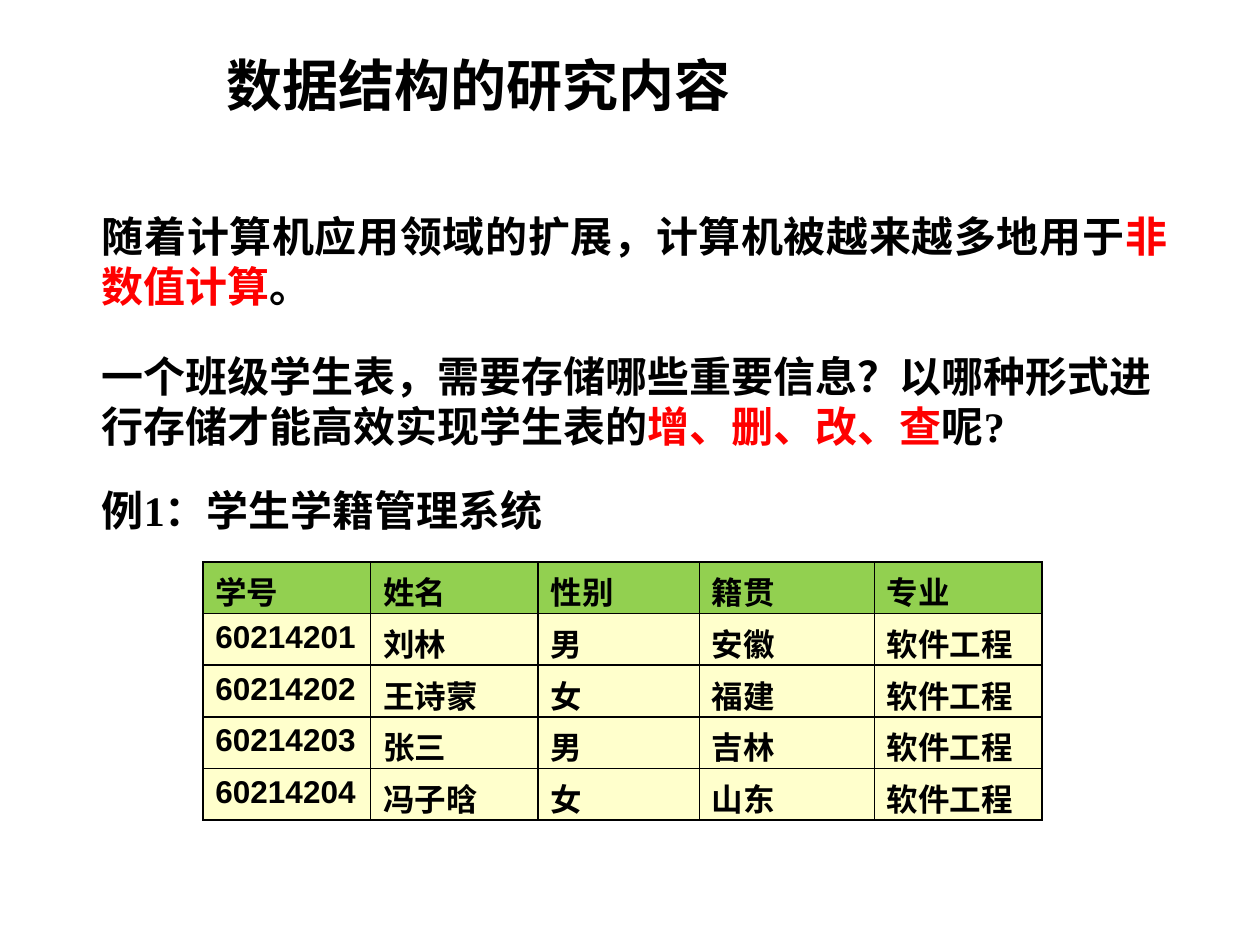
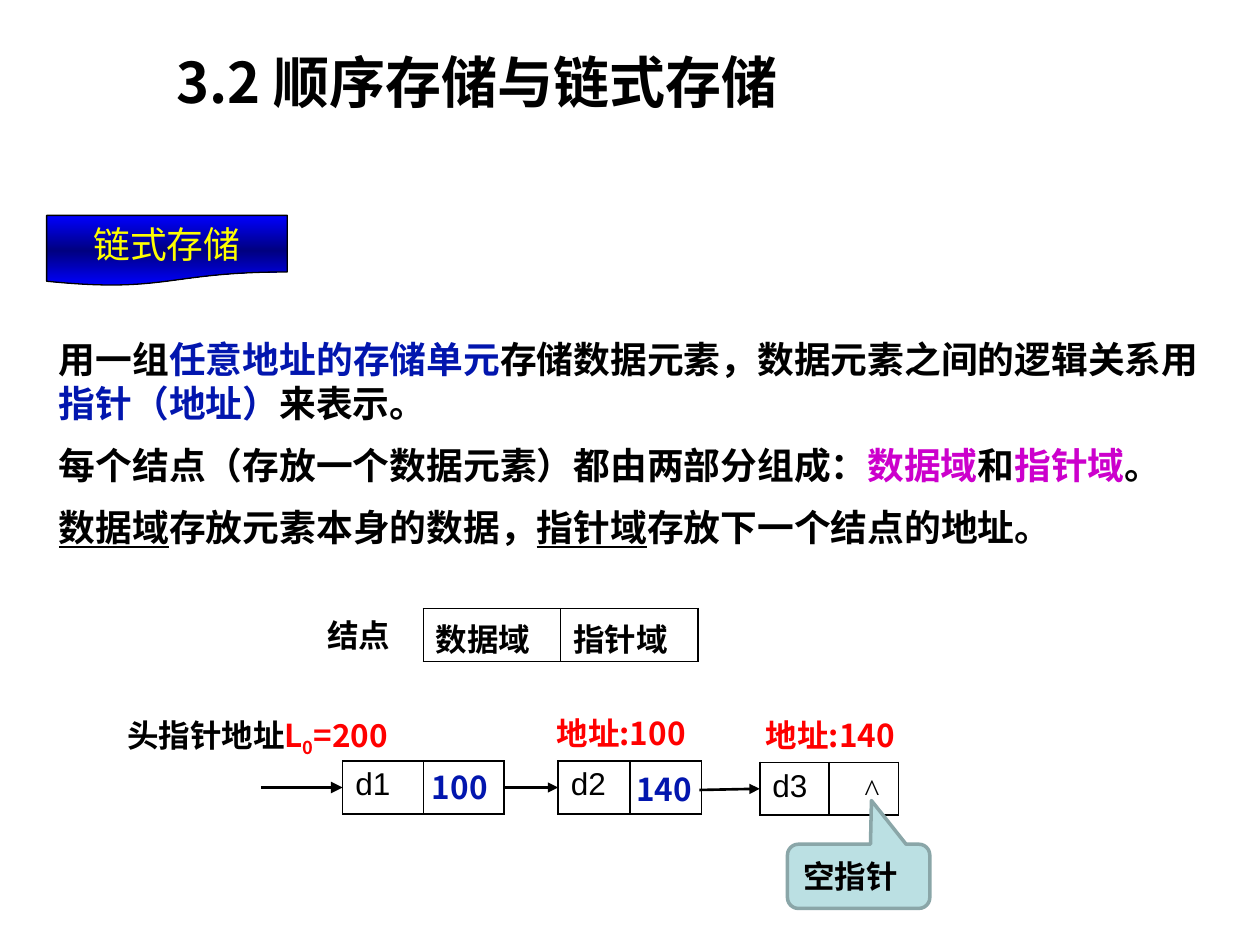
from pptx import Presentation
from pptx.dml.color import RGBColor
from pptx.enum.shapes import MSO_CONNECTOR, MSO_SHAPE
from pptx.enum.text import MSO_ANCHOR, PP_ALIGN
from pptx.oxml.ns import qn
from pptx.util import Inches, Pt
from lxml.etree import SubElement

BLACK, RED, BLUE, PURPLE = "000000", "FF0000", "0216AE", "CC00CC"
SANS, SERIF, LATIN = "Noto Sans CJK SC", "Times New Roman", "Arial"


def color(value):
    return RGBColor.from_string(value)


def write(frame, paragraphs, size=18, font=SANS, ink=BLACK, bold=True,
          align=PP_ALIGN.LEFT, anchor=MSO_ANCHOR.TOP, wrap=True, gap=0):
    frame.word_wrap = wrap
    frame.vertical_anchor = anchor
    if isinstance(paragraphs, str):
        paragraphs = [[paragraphs]]
    for index, pieces in enumerate(paragraphs):
        paragraph = frame.add_paragraph() if index else frame.paragraphs[0]
        paragraph.alignment = align
        if index:
            paragraph.space_before = Pt(gap)
        for piece in pieces:
            text, look = (piece, {}) if isinstance(piece, str) else piece
            run = paragraph.add_run()
            run.text = text
            run.font.size = Pt(size)
            run.font.bold = bold
            run.font.name = font
            run.font.underline = look.get("underline", False)
            run.font.color.rgb = color(look.get("ink", ink))
            properties = run.font._element
            SubElement(properties, qn("a:ea")).set("typeface", SANS)
            if "baseline" in look:
                properties.set("baseline", str(look["baseline"]))


def tint(text, ink, **look):
    return text, dict(look, ink=ink)


def add_text(slide, left, top, width, height, paragraphs, **look):
    box = slide.shapes.add_textbox(Inches(left), Inches(top), Inches(width), Inches(height))
    write(box.text_frame, paragraphs, **look)


def add_title(slide, left, top, width, text, **look):
    add_text(slide, left, top, width, 0.64, text, size=32, **look)


def border_cell(cell):
    properties = cell._tc.get_or_add_tcPr()
    for index, side in enumerate(("a:lnL", "a:lnR", "a:lnT", "a:lnB")):
        line = properties.makeelement(qn(side), {"w": str(Pt(1))})
        fill = SubElement(line, qn("a:solidFill"))
        SubElement(fill, qn("a:srgbClr")).set("val", BLACK)
        properties.insert(index, line)


def add_grid(slide, left, top, widths, row_height, rows, fills=None, bold=True):
    frame = slide.shapes.add_table(len(rows), len(widths), Inches(left), Inches(top),
                                   Inches(sum(widths)), Inches(row_height * len(rows)))
    table = frame.table
    table.first_row = table.horz_banding = False
    for column, width in zip(table.columns, widths):
        column.width = Inches(width)
    for row_index, values in enumerate(rows):
        table.rows[row_index].height = Inches(row_height)
        for column_index, value in enumerate(values):
            cell = table.cell(row_index, column_index)
            cell.margin_bottom = 0
            if fills:
                cell.fill.solid()
                cell.fill.fore_color.rgb = color(fills[min(row_index, 1)])
            else:
                cell.fill.background()
            border_cell(cell)
            if value:
                write(cell.text_frame, value, font=LATIN, bold=bold)


def add_arrow(slide, start, end, weight=1.5):
    arrow = slide.shapes.add_connector(MSO_CONNECTOR.STRAIGHT, *map(Inches, start + end))
    arrow.line.color.rgb = color(BLACK)
    arrow.line.width = Pt(weight)
    SubElement(arrow.line._get_or_add_ln(), qn("a:tailEnd")).set("type", "triangle")
    SubElement(arrow._element.spPr, qn("a:effectLst"))


def add_preset(slide, kind, left, top, width, height, outline, weight):
    shape = slide.shapes.add_shape(kind, Inches(left), Inches(top), Inches(width), Inches(height))
    shape.shadow.inherit = False
    shape.line.color.rgb = color(outline)
    shape.line.width = Pt(weight)
    return shape


def add_banner(slide, left, top, width, height, text):
    banner = add_preset(slide, MSO_SHAPE.FLOWCHART_DOCUMENT, left, top, width, height, BLACK, 0.75)
    banner.fill.gradient()
    banner.fill.gradient_angle = 270
    stops = banner.fill._fill._gradFill.find(qn("a:gsLst"))
    for stop in list(stops):
        stops.remove(stop)
    for position, ink in ((0, "0000FF"), (50, "000080"), (100, "0000FF")):
        stop = SubElement(stops, qn("a:gs"), pos=str(position * 1000))
        SubElement(stop, qn("a:srgbClr")).set("val", ink)
    write(banner.text_frame, text, size=21, ink="FFFF00", bold=False,
          align=PP_ALIGN.CENTER, anchor=MSO_ANCHOR.MIDDLE)


def add_callout(slide, left, top, width, height, text):
    callout = add_preset(slide, MSO_SHAPE.ROUNDED_RECTANGULAR_CALLOUT,
                         left, top, width, height, "8AA6A8", 2)
    for index, value in enumerate((0.09, -1.18, 0.17)):
        callout.adjustments[index] = value
    callout.fill.solid()
    callout.fill.fore_color.rgb = color("BBE0E3")
    write(callout.text_frame, text, font=LATIN, anchor=MSO_ANCHOR.MIDDLE)


def add_linked_list(slide, left, top):
    nodes = [(0, 0, 0.64, "d1"), (1.71, 0, 0.57, "d2"), (3.31, 0.01, 0.55, "d3")]
    for shift, drop, width, name in nodes:
        add_grid(slide, left + shift, top + drop, [width] * 2, 0.42, [[name, ""]], bold=False)
    middle = top + 0.21
    add_arrow(slide, (left + 1.29, middle), (left + 1.71, middle))
    add_arrow(slide, (left + 2.83, middle + 0.02), (left + 3.31, middle + 0.01))
    add_arrow(slide, (left - 0.65, middle), (left, middle), weight=2.25)
    add_text(slide, left + 2.23, top + 0.02, 0.68, 0.4, "140", ink=BLUE)
    add_text(slide, left + 0.61, top + 0.01, 0.68, 0.4, "100", ink=BLUE)
    add_text(slide, left + 3.86, top + 0.02, 0.68, 0.4, "^",
             font=SERIF, bold=False, align=PP_ALIGN.CENTER)
    add_text(slide, left + 1.6, top - 0.42, 1.64, 0.4, "地址:100", ink=RED)
    add_text(slide, left + 3.26, top - 0.41, 1.84, 0.4, "地址:140", ink=RED)
    add_text(slide, left - 1.81, top - 0.41, 2.48, 0.4, [[
        "头指针地址", tint("L", RED), tint("0", RED, baseline=-25000), tint("=200", RED)]])
    add_callout(slide, left + 3.53, top + 0.66, 1.13, 0.51, "空指针")


def build_research_slide(slide):
    add_title(slide, 1.7, 0.35, 6.06, "数据结构的研究内容")
    body = dict(size=24, font=SERIF)
    add_text(slide, 0.71, 1.62, 8.65, 0.91, [[
        "随着计算机应用领域的扩展，计算机被越来越多地用于",
        tint("非数值计算", RED), "。"]], align=PP_ALIGN.JUSTIFY, **body)
    add_text(slide, 0.71, 2.73, 8.7, 0.91, [[
        "一个班级学生表，需要存储哪些重要信息？以哪种形式进行存储才能高效实现学生表的",
        tint("增、删、改、查", RED), "呢?"]], **body)
    add_text(slide, 0.71, 3.8, 4.49, 0.5, "例1：学生学籍管理系统", **body)
    students = [("刘林", "男", "安徽"), ("王诗蒙", "女", "福建"),
                ("张三", "男", "吉林"), ("冯子晗", "女", "山东")]
    rows = [("学号", "姓名", "性别", "籍贯", "专业")]
    rows += [(str(number), *student, "软件工程")
             for number, student in enumerate(students, 60214201)]
    add_grid(slide, 1.61, 4.46, [1.33, 1.33, 1.28, 1.39, 1.33], 0.41, rows,
             fills=("92D050", "FFFFCC"))


def build_storage_slide(slide):
    add_text(slide, 0.37, 2.58, 9.46, 1.87, [
        ["用一组", tint("任意地址的存储单元", BLUE), "存储数据元素，数据元素之间的逻辑关系用",
         tint("指针（地址）", BLUE), "来表示。"],
        ["每个结点（存放一个数据元素）都由两部分组成：", tint("数据域", PURPLE), "和",
         tint("指针域", PURPLE), "。"],
        [tint("数据域", BLACK, underline=True), "存放元素本身的数据，",
         tint("指针域", BLACK, underline=True), "存放下一个结点的地址。"],
    ], size=21, anchor=MSO_ANCHOR.MIDDLE, gap=10)
    add_banner(slide, 0.37, 1.71, 1.91, 0.56, "链式存储")
    add_title(slide, 1.21, 0.33, 5.16, "3.2 顺序存储与链式存储",
              align=PP_ALIGN.CENTER, wrap=False)
    add_linked_list(slide, 2.72, 6.04)
    add_grid(slide, 3.36, 4.83, [1.09] * 2, 0.42, [["数据域", "指针域"]])
    add_text(slide, 2.5, 4.84, 1.17, 0.4, "结点", font=LATIN)


def main():
    presentation = Presentation()
    presentation.slide_width, presentation.slide_height = Inches(10), Inches(7.5)
    for build in (build_research_slide, build_storage_slide):
        build(presentation.slides.add_slide(presentation.slide_layouts[6]))
    presentation.save("out.pptx")


if __name__ == "__main__":
    main()
